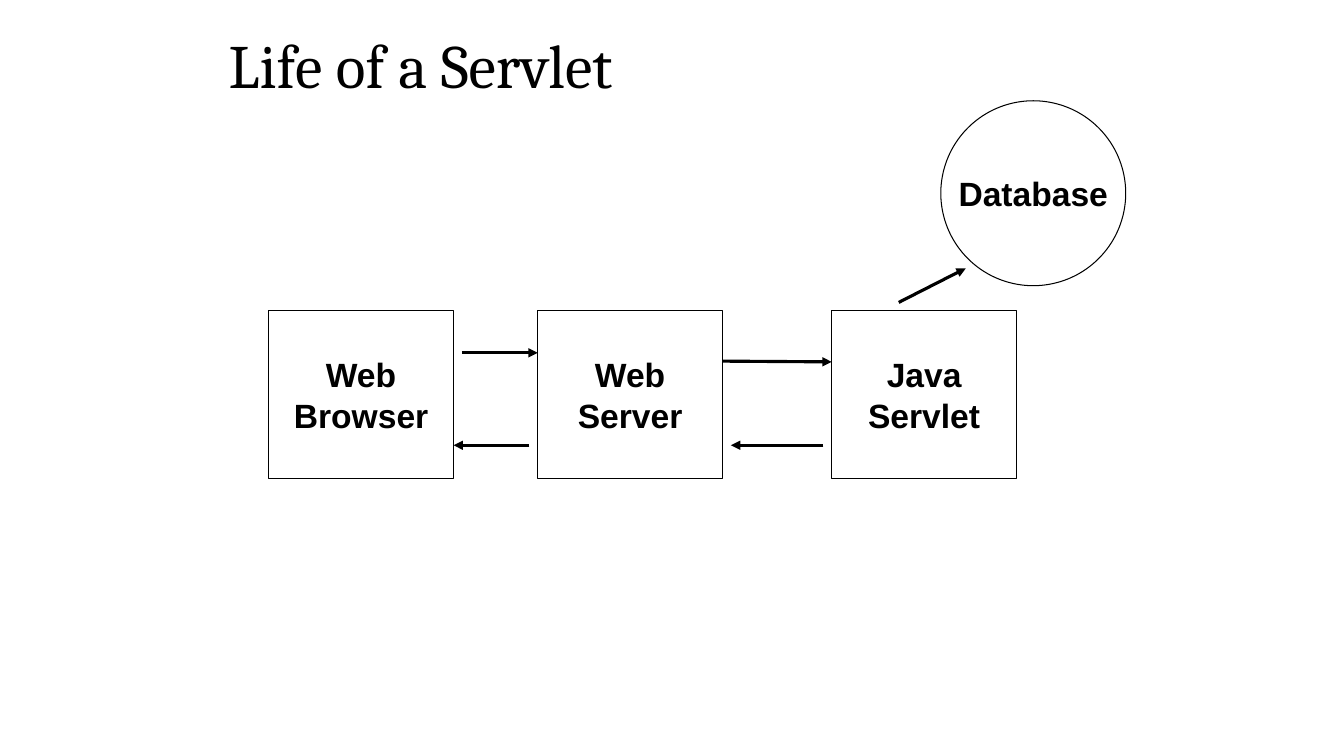
from typing import Any, NamedTuple

from lxml.etree import SubElement
from pptx import Presentation
from pptx.dml.color import RGBColor
from pptx.enum.shapes import MSO_CONNECTOR as Connector, MSO_SHAPE as Preset
from pptx.enum.text import MSO_ANCHOR as Anchor, PP_ALIGN as Align
from pptx.oxml.ns import qn
from pptx.slide import Slide
from pptx.util import Cm, Pt

COLOURS = {"ink": "000000", "paper": "FFFFFF"}
TITLE_FONT = {"name": "Cambria", "size": Pt(44), "bold": False}
LABEL_FONT = {"name": "Arial", "size": Pt(24), "bold": True}
TITLE_PLACE = {"left": Cm(5.51), "top": Cm(0.76), "width": Cm(22.86), "height": Cm(3.18)}
TITLE_FRAME = {"vertical_anchor": Anchor.TOP, "word_wrap": True}
LABEL_FRAME = {"vertical_anchor": Anchor.MIDDLE, "word_wrap": False}
NODE_WIDTH = 4.66
BOX_TOP, BOX_HEIGHT = 7.83, 4.23
REPLY_Y = 11.22


class Node(NamedTuple):
    label: str
    left: float
    top: float = BOX_TOP
    height: float = BOX_HEIGHT
    preset: Preset = Preset.RECTANGLE


class Arrow(NamedTuple):
    start: tuple[float, float]
    end: tuple[float, float]


BROWSER = Node("Web\nBrowser", 6.77)
SERVER = Node("Web\nServer", 13.55)
SERVLET = Node("Java\nServlet", 20.96)
DATABASE = Node("Database", 23.71, 2.54, NODE_WIDTH, Preset.OVAL)

ARROWS = [
    Arrow((SERVER.left + NODE_WIDTH, 9.1), (SERVLET.left, 9.12)),
    Arrow((22.65, 7.62), (24.34, 6.76)),
    Arrow((20.75, REPLY_Y), (18.42, REPLY_Y)),
    Arrow((11.64, 8.89), (SERVER.left, 8.89)),
    Arrow((13.34, REPLY_Y), (BROWSER.left + NODE_WIDTH, REPLY_Y)),
]


def colour(role: str) -> RGBColor:
    return RGBColor.from_string(COLOURS[role])


def apply(target: Any, values: dict[str, Any]) -> None:
    for attribute, value in values.items():
        setattr(target, attribute, value)


def draw_title(slide: Slide, wording: str) -> None:
    title = slide.shapes.title
    apply(title, TITLE_PLACE)
    title.text_frame.text = wording
    apply(title.text_frame, TITLE_FRAME)
    paragraph = title.text_frame.paragraphs[0]
    apply(paragraph, {"alignment": Align.LEFT, "line_spacing": 0.9})
    apply(paragraph.font, TITLE_FONT)
    paragraph.font.color.rgb = colour("ink")


def draw_node(slide: Slide, node: Node) -> None:
    shape = slide.shapes.add_shape(
        node.preset, Cm(node.left), Cm(node.top), Cm(NODE_WIDTH), Cm(node.height)
    )
    shape.shadow.inherit = False
    shape.fill.solid()
    shape.fill.fore_color.rgb = colour("paper")
    shape.line.color.rgb = colour("ink")
    shape.line.width = Pt(0.75)
    shape.text_frame.text = node.label
    apply(shape.text_frame, LABEL_FRAME)
    for paragraph in shape.text_frame.paragraphs:
        paragraph.alignment = Align.CENTER
        apply(paragraph.font, LABEL_FONT)
        paragraph.font.color.rgb = colour("ink")


def draw_arrow(slide: Slide, arrow: Arrow) -> None:
    ends = [Cm(value) for value in (*arrow.start, *arrow.end)]
    connector = slide.shapes.add_connector(Connector.STRAIGHT, *ends)
    connector.line.color.rgb = colour("ink")
    connector.line.width = Pt(2.25)
    SubElement(connector.line.get_or_change_to_ln() if hasattr(connector.line, "get_or_change_to_ln")
               else connector.get_or_add_ln(), qn("a:tailEnd"), type="triangle")
    SubElement(connector.element.spPr, qn("a:effectLst"))


def main() -> None:
    deck = Presentation()
    apply(deck, {"slide_width": Cm(33.87), "slide_height": Cm(19.05)})
    slide = deck.slides.add_slide(deck.slide_layouts[5])
    draw_title(slide, "Life of a Servlet")
    for node in (BROWSER, SERVER, SERVLET, DATABASE):
        draw_node(slide, node)
    for arrow in ARROWS:
        draw_arrow(slide, arrow)
    deck.save("out.pptx")


if __name__ == "__main__":
    main()
